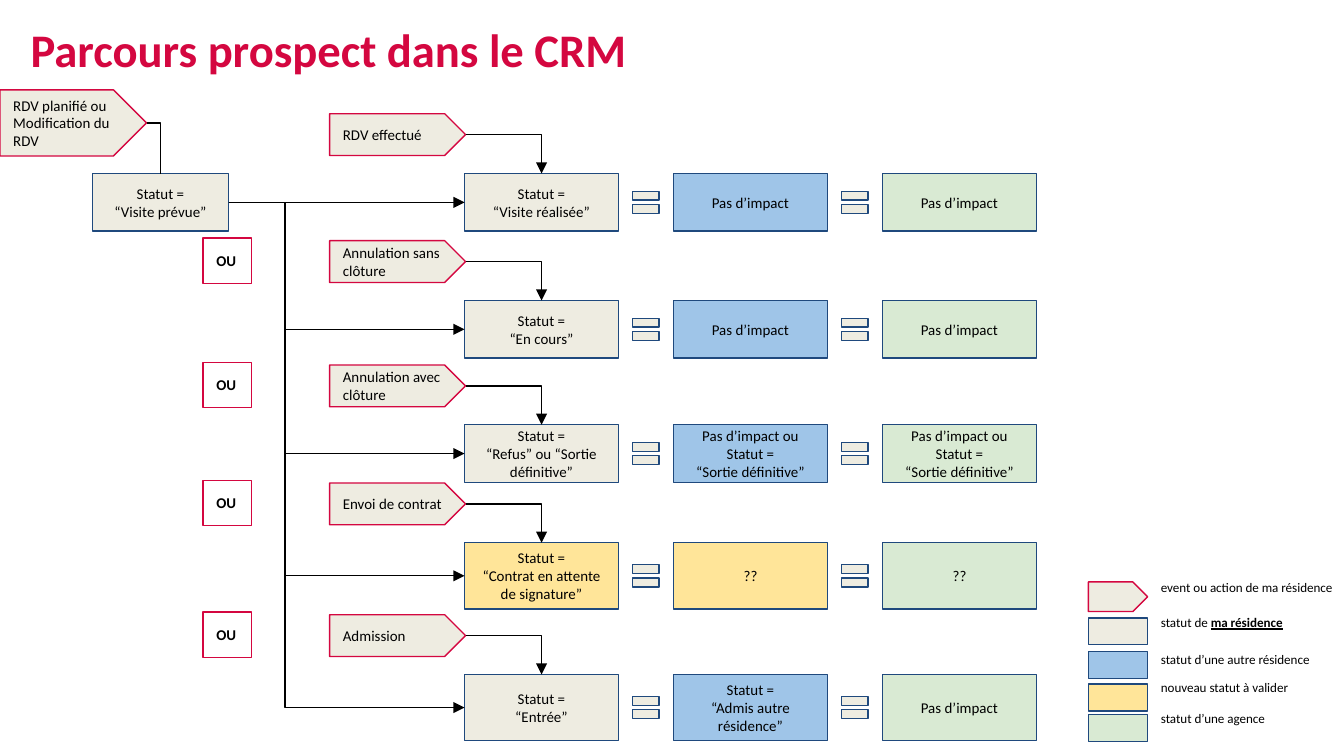
import pptx
import pptx.dml.color
import pptx.enum.shapes
import pptx.enum.text
import pptx.oxml
import pptx.oxml.ns
import pptx.util

Cm = pptx.util.Cm
Pt = pptx.util.Pt
RGBColor = pptx.dml.color.RGBColor
FORM = pptx.enum.shapes.MSO_SHAPE
WIRE = pptx.enum.shapes.MSO_CONNECTOR
ALIGN = pptx.enum.text.PP_ALIGN
ANCHOR = pptx.enum.text.MSO_ANCHOR
qn = pptx.oxml.ns.qn

RED = RGBColor(0xD4, 0x07, 0x40)
NAVY = RGBColor(0x1F, 0x49, 0x7D)
BLACK = RGBColor(0, 0, 0)
GREY = RGBColor(0xEE, 0xEC, 0xE1)
BLUE = RGBColor(0x9F, 0xC5, 0xE8)
YELLOW = RGBColor(0xFF, 0xE5, 0x99)
GREEN = RGBColor(0xD9, 0xEA, 0xD3)

TOP, LEFT, RIGHT = 0, 1, 3  # connection sites

deck = pptx.Presentation()
deck.slide_width, deck.slide_height = Cm(25.4), Cm(14.29)
slide = deck.slides.add_slide(deck.slide_layouts[6])


def draw(form, x, y, w, h, text="", fill=None, edge=None, size=8, align=ALIGN.LEFT,
         anchor=ANCHOR.MIDDLE, color=BLACK, bold=False, wrap=True):
    """Add a shape, or a text box when form is None; lengths in cm."""
    place = Cm(x), Cm(y), Cm(w), Cm(h)
    if form is None:
        shape = slide.shapes.add_textbox(*place)
    else:
        shape = slide.shapes.add_shape(form, *place)
        shape.shadow.inherit = False
        shape.line.color.rgb = edge
        shape.line.width = Pt(0.75)
        if fill is None:
            shape.fill.background()
        else:
            shape.fill.solid()
            shape.fill.fore_color.rgb = fill
    frame = shape.text_frame
    frame.text = text
    frame.word_wrap = wrap
    frame.vertical_anchor = anchor
    frame.margin_left = frame.margin_top = frame.margin_bottom = Cm(0.25)
    frame.margin_right = Cm(0.25 if form else 0)
    for para in frame.paragraphs:
        para.alignment = align
        for run in para.runs:
            font = run.font
            font.name, font.size, font.bold = "Calibri", Pt(size), bold
            font.color.rgb = color
    return shape


def link(start, end, site, bend=None, head=True):
    """Join the right side of start to a site of end; bend is a share of the width."""
    kind = WIRE.STRAIGHT if site == LEFT and bend is None else WIRE.ELBOW
    wire = slide.shapes.add_connector(kind, 0, 0, 0, 0)
    wire.begin_connect(start, RIGHT)
    wire.end_connect(end, site)
    wire.line.color.rgb = BLACK
    wire.line.width = Pt(0.75)
    props = wire._element.spPr
    geom = props.find(qn("a:prstGeom"))
    if site == TOP:
        geom.set("prst", "bentConnector2")
    elif bend is not None:
        guide = pptx.oxml.parse_xml(
            '<a:gd xmlns:a="http://schemas.openxmlformats.org/drawingml/2006/main" '
            f'name="adj1" fmla="val {round(bend * 100000)}"/>')
        geom.find(qn("a:avLst")).append(guide)
    if head:
        tail = wire.line._get_or_add_ln().makeelement(qn("a:tailEnd"), {"type": "triangle"})
        wire.line._get_or_add_ln().append(tail)
    props.append(props.makeelement(qn("a:effectLst"), {}))


draw(None, 0.33, 0.03, 23.24, 1.78, "Parcours prospect dans le CRM",
     size=25, color=RED, bold=True)

plan = draw(FORM.PENTAGON, 0, 1.7, 2.77, 1.25, "RDV planifié ou Modification du RDV", GREY, RED)
visit = draw(FORM.RECTANGLE, 1.75, 3.28, 2.57, 1.09, "Statut =\n“Visite prévue”",
             GREY, NAVY, align=ALIGN.CENTER)
link(plan, visit, TOP, head=False)

# Top, height, event, then the text of each status and its fill
NONE = "Pas d’impact"
EXIT = "Pas d’impact ou Statut =\n“Sortie définitive”"
USUAL = GREY, BLUE, GREEN
rows = [
    (3.28, 1.09, "RDV effectué", ("Statut =\n“Visite réalisée”", NONE, NONE), USUAL),
    (5.68, 1.09, "Annulation sans clôture", ("Statut =\n“En cours”", NONE, NONE), USUAL),
    (8.03, 1.09, "Annulation avec clôture",
     ("Statut =\n“Refus” ou “Sortie définitive”", EXIT, EXIT), USUAL),
    (10.26, 1.25, "Envoi de contrat",
     ("Statut =\n“Contrat en attente de signature”", "??", "??"), (YELLOW, YELLOW, GREEN)),
    (12.75, 1.25, "Admission",
     ("Statut =\n“Entrée”", "Statut =\n“Admis autre résidence”", NONE), USUAL),
]
FIRST, PITCH, WIDTH = 8.78, 3.95, 2.91
TRUNK = 0.24

for i, (top, high, name, texts, fills) in enumerate(rows):
    event = draw(FORM.PENTAGON, 6.23, top - 1.13, 2.57, 0.79, name, GREY, RED)
    cells = []
    for col, (text, fill) in enumerate(zip(texts, fills)):
        x = FIRST + col * PITCH
        cells.append(draw(FORM.RECTANGLE, x, top, WIDTH, high, text, fill, NAVY,
                          align=ALIGN.CENTER))
        if col:
            equal = draw(FORM.MATH_EQUAL, x - 0.87, top + high / 2 - 0.355, 0.69, 0.71,
                         fill=GREY, edge=NAVY)
            equal.adjustments[0], equal.adjustments[1] = 0.235, 0.118
    link(event, cells[0], TOP)
    link(visit, cells[0], LEFT, TRUNK if i else None)
    if i:
        draw(FORM.RECTANGLE, 3.84, top - 1.18, 0.91, 0.86, "OU", edge=RED,
             anchor=ANCHOR.TOP, bold=True, wrap=False)

# Legend: form, top, height, fill, edge, top of label, label
legend = [
    (FORM.PENTAGON, 11.0, 0.56, GREY, RED, 10.8, "event ou action de ma résidence"),
    (FORM.RECTANGLE, 11.68, 0.51, GREY, NAVY, 11.47, "statut de "),
    (FORM.RECTANGLE, 12.32, 0.51, BLUE, NAVY, 12.17, "statut d’une autre résidence"),
    (FORM.RECTANGLE, 12.93, 0.51, YELLOW, NAVY, 12.7, "nouveau statut à valider"),
    (FORM.RECTANGLE, 13.51, 0.51, GREEN, NAVY, 13.28, "statut d’une agence"),
]
for form, top, high, fill, edge, line, text in legend:
    draw(form, 20.57, top, 1.12, high, fill=fill, edge=edge)
    label = draw(None, 21.69, line, 3.7, 0.81, text, size=7, anchor=ANCHOR.TOP)
    if text.endswith(" "):
        run = label.text_frame.paragraphs[0].add_run()
        run.text = "ma résidence"
        font = run.font
        font.name, font.size = "Calibri", Pt(7)
        font.bold = font.underline = True
        font.color.rgb = BLACK

deck.save("out.pptx")
